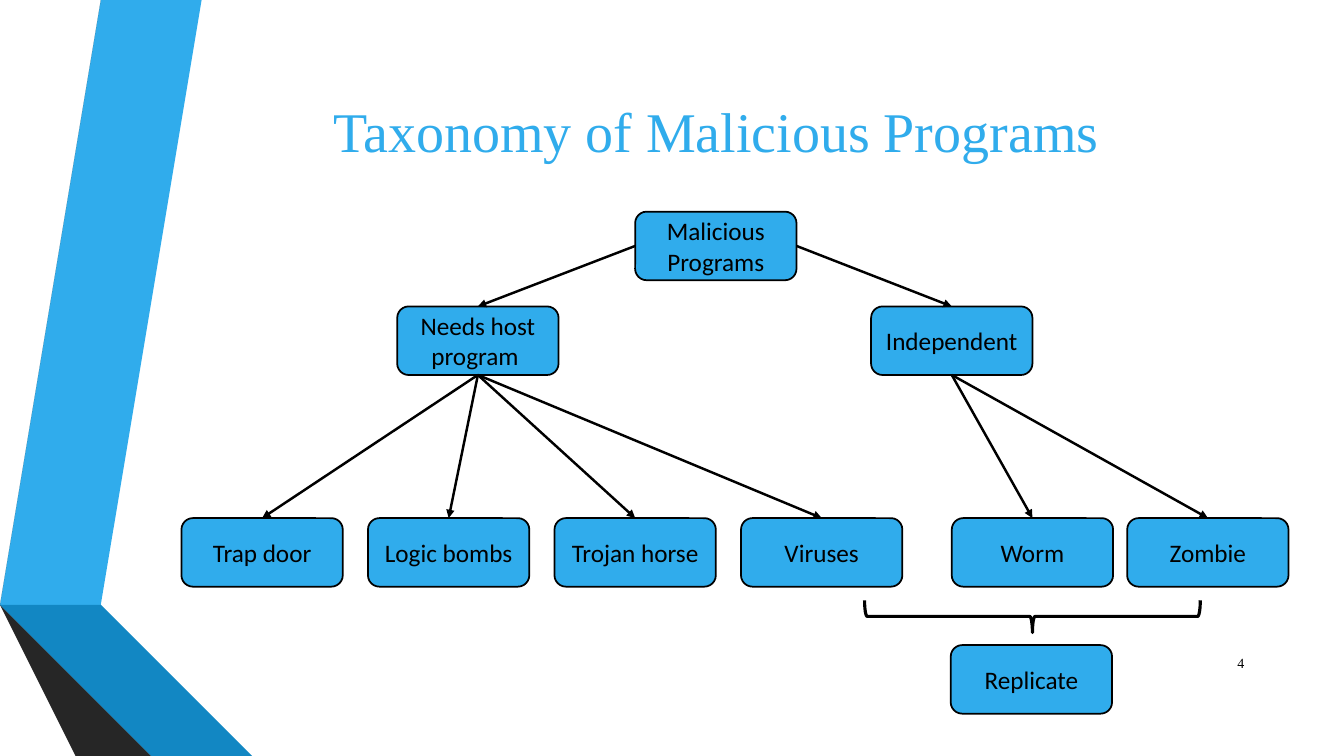
"""Builds a slide with a tree of malicious program types."""
from lxml import etree
from pptx import Presentation
from pptx import util as u
from pptx.dml import color as c
from pptx.enum import shapes, text
from pptx.oxml import ns

HUES = {"sky": "30ACEC", "gray": "595959", "coal": "262626", "navy": "0C5A82",
        "blue": "1287C3", "dark": "404040", "ink": "000000"}
HUES = {name: c.RGBColor.from_string(code) for name, code in HUES.items()}
WIDE, HIGH = 1.6, 0.68


def write(shape, lines, size, face, hue, align):
    frame = shape.text_frame
    for key, val in {"word_wrap": True, "vertical_anchor": text.MSO_ANCHOR.MIDDLE}.items():
        setattr(frame, key, val)
    frame.text = "\n".join(lines)
    for para in frame.paragraphs:
        para.alignment = align
        for key, val in {"size": u.Pt(size), "name": face}.items():
            setattr(para.font, key, val)
        para.font.color.rgb = HUES[hue]


def add_box(label, left, top):
    box = slide.shapes.add_shape(shapes.MSO_SHAPE.ROUNDED_RECTANGLE, u.Inches(left),
                                 u.Inches(top), u.Inches(WIDE), u.Inches(HIGH))
    box.shadow.inherit = False
    box.fill.solid()
    box.fill.fore_color.rgb = HUES["sky"]
    box.line.color.rgb = HUES["ink"]
    box.line.width = u.Pt(1.25)
    write(box, label.split("\n"), 18, "Calibri", "ink", text.PP_ALIGN.CENTER)
    return box


deck = Presentation()
deck.slide_width, deck.slide_height = u.Inches(13.33), u.Inches(7.5)
slide = deck.slides.add_slide(deck.slide_layouts[6])

bands = [
    ("sky", [(0.5, 5.78), (0.77, 5.83), (1.73, 0), (1.45, 0)]),
    ("gray", [(1.39, 0), (1.11, 0), (0.16, 5.73), (0.44, 5.77)]),
    ("coal", [(0.16, 5.73), (1.45, 7.5), (1.51, 7.5)]),
    ("navy", [(0.5, 5.79), (2.08, 7.5), (2.14, 7.5)]),
    ("blue", [(0.5, 5.78), (0.5, 5.79), (2.14, 7.5), (2.83, 7.5), (0.77, 5.83)]),
    ("dark", [(2.02, 7.5), (0.48, 5.83), (0.43, 5.77), (0.16, 5.73), (1.51, 7.5)]),
]
for hue, spots in bands:
    path = slide.shapes.build_freeform(*spots[0], scale=u.Inches(1))
    path.add_line_segments(spots[1:], close=True)
    band = path.convert_to_shape()
    band.shadow.inherit = False
    band.fill.solid()
    band.fill.fore_color.rgb = HUES[hue]
    band.line.fill.background()

labels = [
    ("Taxonomy of Malicious Programs", (1.62, 0.75, 10.96, 1.08), 40, "sky", text.PP_ALIGN.CENTER),
    ("4", (11.98, 6.42, 0.46, 0.32), 10, "ink", text.PP_ALIGN.RIGHT),
]
for words, place, size, hue, align in labels:
    label = slide.shapes.add_textbox(*map(u.Inches, place))
    write(label, [words], size, "Times New Roman", hue, align)

root = add_box("Malicious\nPrograms", 6.3, 2.1)
groups = [
    ("Needs host program ", 3.94, 1,
     [("Trap door", 1.8), ("Logic bombs", 3.65), ("Trojan horse", 5.5), ("Viruses", 7.35)]),
    ("Independent", 8.64, 3, [("Worm", 9.44), ("Zombie", 11.18)]),
]
links = []
for name, left, side, kinds in groups:
    group = add_box(name, left, 3.04)
    links.append((root, side, group))
    links += [(group, 2, add_box(kind, spot, 5.14)) for kind, spot in kinds]

for start, side, end in links:
    link = slide.shapes.add_connector(shapes.MSO_CONNECTOR.STRAIGHT, 0, 0, 0, 0)
    link.begin_connect(start, side)
    link.end_connect(end, 0)
    link.line.color.rgb = HUES["ink"]
    link.line.width = u.Pt(1.75)
    etree.SubElement(link.line._get_or_add_ln(), ns.qn("a:tailEnd"), type="triangle")
    etree.SubElement(link._element.spPr, ns.qn("a:effectLst"))

brace = slide.shapes.add_shape(shapes.MSO_SHAPE.LEFT_BRACE, u.Inches(10.08),
                               u.Inches(4.45), u.Inches(0.32), u.Inches(3.33))
brace.rotation = 270
brace.adjustments[0] = 0.083
brace.shadow.inherit = False
brace.fill.background()
brace.line.color.rgb = HUES["ink"]
brace.line.width = u.Pt(2.25)
add_box("Replicate", 9.43, 6.4)

deck.save("out.pptx")
